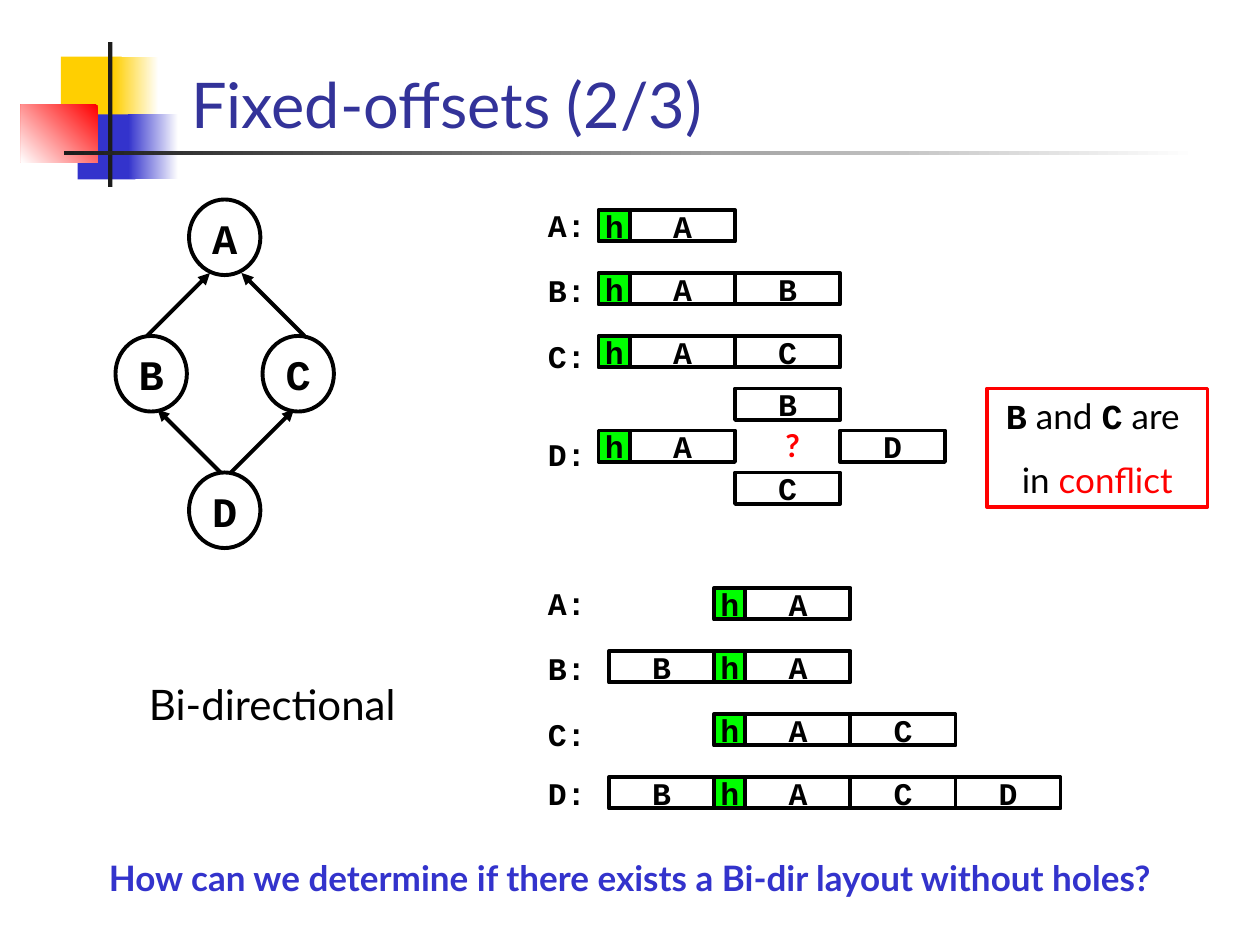
from lxml.etree import SubElement
from pptx import Presentation
from pptx.dml.color import RGBColor
from pptx.enum.shapes import MSO_CONNECTOR, MSO_SHAPE
from pptx.enum.text import MSO_ANCHOR, PP_ALIGN
from pptx.oxml.ns import qn
from pptx.util import Emu, Pt

PX = 7620  # 120 px to the inch
COLORS = {
    "black": "000000", "white": "FFFFFF", "ink": "1C1C1C", "gold": "FFCF01",
    "blue": "3333CC", "red": "FF0000", "green": "00FF00", "title": "333399",
}
SANS, MONO = "Lato", "Courier New"
LEFT, CENTER = PP_ALIGN.LEFT, PP_ALIGN.CENTER


def px(*values):
    return [Emu(v * PX) for v in values]


def rgb(name):
    return RGBColor.from_string(COLORS[name])


def write(tf, *paragraphs, size=18, font=SANS, color="black", bold=False,
          align=LEFT, gaps=()):
    """Each paragraph is a string or a list of (text, overrides) runs."""
    for i, content in enumerate(paragraphs):
        p = tf.paragraphs[0] if i == 0 else tf.add_paragraph()
        p.alignment = align
        p.space_before = Pt(gaps[i - 1] if i else 0)
        runs = [(content, {})] if isinstance(content, str) else content
        for text, changes in runs:
            look = {"font": font, "color": color, "bold": bold, **changes}
            r = p.add_run()
            r.text = text
            r.font.size = Pt(size)
            r.font.name = look["font"]
            r.font.bold = look["bold"]
            r.font.color.rgb = rgb(look["color"])


class Diagram:
    cell_w, cell_h, head_w = 100, 30, 30
    node_w, node_h = 68, 72
    line_w = Pt(2.25)

    def __init__(self, slide):
        self.s = slide

    def shape(self, box, kind=MSO_SHAPE.RECTANGLE, fill=None, line=None):
        sp = self.s.shapes.add_shape(kind, *px(*box))
        sp.shadow.inherit = False
        if fill:
            sp.fill.solid()
            sp.fill.fore_color.rgb = rgb(fill)
        else:
            sp.fill.background()
        if line:
            sp.line.color.rgb = rgb(line)
            sp.line.width = self.line_w
        else:
            sp.line.fill.background()
        return sp

    def fade(self, box, start, end, angle=180):
        fill = self.shape(box).fill
        fill.gradient()
        fill.gradient_angle = angle
        for stop, name in zip(fill.gradient_stops, (start, end)):
            stop.color.rgb = rgb(name)

    def title(self, text, box):
        sp = self.s.shapes.title
        sp.left, sp.top, sp.width, sp.height = px(*box)
        sp.text_frame.vertical_anchor = MSO_ANCHOR.BOTTOM
        write(sp.text_frame, text, size=36, color="title")

    def text(self, box, *paragraphs, **look):
        tf = self.s.shapes.add_textbox(*px(*box)).text_frame
        tf.word_wrap = True
        write(tf, *paragraphs, **look)

    def label(self, box, text, size, **style):
        tf = self.shape(box, line="black", **style).text_frame
        tf.margin_left = tf.margin_right = tf.margin_top = tf.margin_bottom = 0
        tf.word_wrap = False
        tf.vertical_anchor = MSO_ANCHOR.MIDDLE
        write(tf, text, size=size, font=MONO, bold=True, align=CENTER)

    def node(self, name, x, y):
        self.label((x, y, self.node_w, self.node_h), name, 24,
                   kind=MSO_SHAPE.OVAL)

    def row(self, x, y, cells):
        for name in cells:
            head = name == "h"
            w = self.head_w if head else self.cell_w
            self.label((x, y, w, self.cell_h), name, 18,
                       fill="green" if head else None)
            x += w

    def arrow(self, *ends):
        cn = self.s.shapes.add_connector(MSO_CONNECTOR.STRAIGHT, *px(*ends))
        cn.line.color.rgb = rgb("black")
        cn.line.width = self.line_w
        SubElement(cn.line._get_or_add_ln(), qn("a:tailEnd"), type="triangle")
        SubElement(cn._element.spPr, qn("a:effectLst"))

    def framed(self, box, *paragraphs, **look):
        tf = self.shape(box, line="red").text_frame
        tf.word_wrap = True
        tf.vertical_anchor = MSO_ANCHOR.TOP
        write(tf, *paragraphs, **look)


def main():
    prs = Presentation()
    prs.slide_width, prs.slide_height = px(1200, 900)
    d = Diagram(prs.slides.add_slide(prs.slide_layouts[5]))

    # Corner ornament and title
    d.shape((58, 54, 58, 62), fill="gold")
    d.fade((108, 54, 43, 62), "white", "gold")
    d.shape((74, 109, 55, 62), fill="blue")
    d.fade((122, 109, 48, 62), "white", "blue")
    d.fade((20, 100, 73, 55), "red", "white", angle=225)
    d.shape((103, 40, 4, 138), fill="ink")
    d.fade((61, 144, 1080, 4), "white", "ink")
    d.title("Fixed-offsets (2/3)", (170, 40, 990, 100))

    # Inheritance diamond
    for name, x, y in (("A", 180, 190), ("B", 110, 320),
                       ("C", 250, 320), ("D", 180, 450)):
        d.node(name, x, y)
    for x, y, dx in ((210, 450, -60), (220, 450, 60),
                     (140, 320, 60), (290, 320, -60)):
        d.arrow(x, y, x + dx, y - 60)

    # Object layouts: one-directional, then bi-directional
    for x, y, cells in (
        (570, 200, "hA"), (570, 260, "hAB"), (570, 320, "hAC"),
        (700, 370, "B"), (570, 410, "hA"), (800, 410, "D"), (700, 450, "C"),
        (680, 560, "hA"), (580, 620, "BhA"), (680, 680, "hAC"),
        (580, 740, "BhACD"),
    ):
        d.row(x, y, cells)
    for y, h, gaps in ((190, 262, (16, 16, 34.5)), (550, 224, (16, 16, 12))):
        d.text((510, y, 60, h), "A:", "B:", "C:", "D:",
               font=MONO, bold=True, gaps=gaps)
    d.text((730, 400, 50, 48), "?", color="red", bold=True, align=CENTER)

    # Remarks
    code = {"font": MONO, "bold": True}
    d.framed((940, 370, 210, 113),
             [("B", code), (" and ", {}), ("C", code), (" are ", {})],
             [("in ", {}), ("conflict", {"color": "red"})],
             size=20, align=CENTER, gaps=(12.5,))
    d.text((130, 640, 330, 60), "Bi-directional", size=24)
    d.text((0, 810, 1200, 53),
           "How can we determine if there exists a Bi-dir layout without holes?",
           size=20, color="blue", bold=True, align=CENTER)

    prs.save("out.pptx")


if __name__ == "__main__":
    main()
